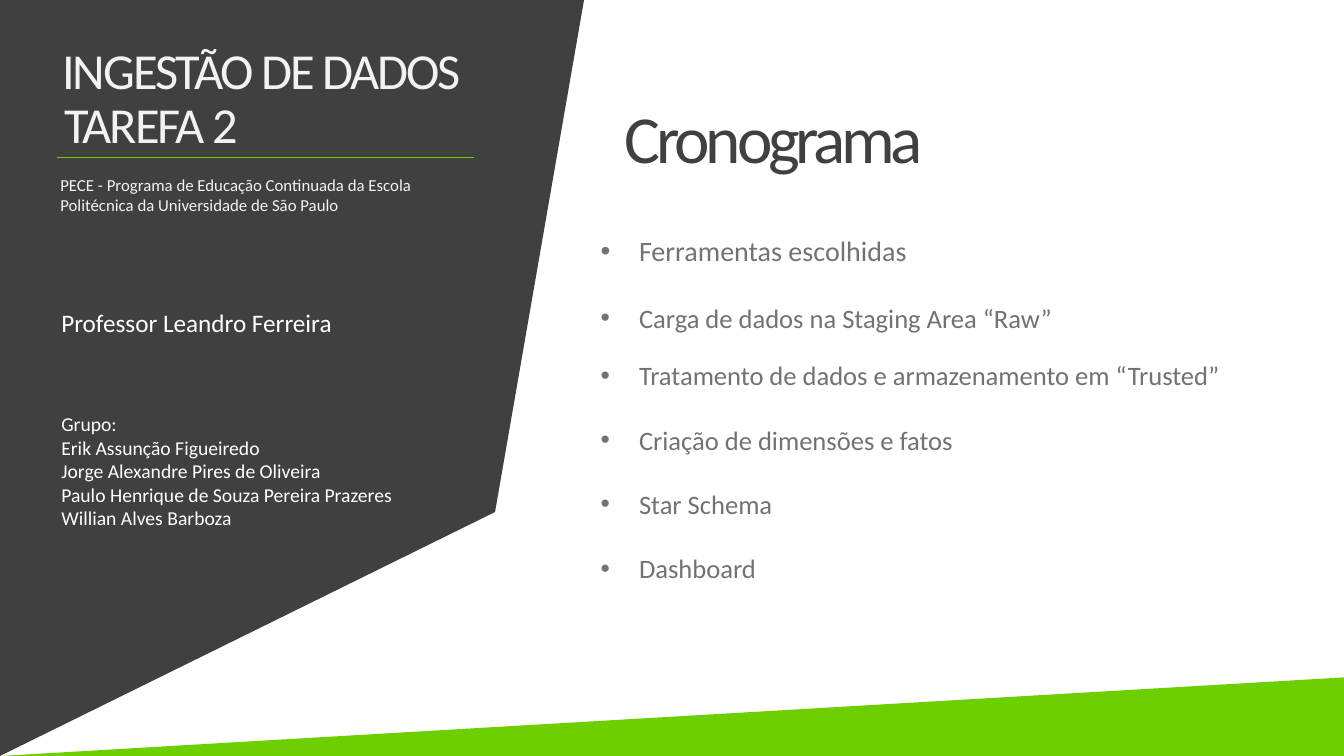
from dataclasses import dataclass

from lxml.etree import SubElement
from pptx import Presentation
from pptx.dml.color import RGBColor
from pptx.enum.shapes import MSO_CONNECTOR, MSO_SHAPE
from pptx.enum.text import MSO_ANCHOR, MSO_AUTO_SIZE
from pptx.oxml.ns import qn
from pptx.shapes.autoshape import Shape
from pptx.slide import Slide
from pptx.util import Inches, Pt

DARK = RGBColor(0x40, 0x40, 0x40)
GREEN = RGBColor(0x6D, 0xCF, 0x00)
GREY = RGBColor(0x76, 0x71, 0x71)
PALE = RGBColor(0xF2, 0xF2, 0xF2)
WHITE = RGBColor(0xFF, 0xFF, 0xFF)
FONT = "Calibri"


@dataclass
class Label:
    text: str
    left: float
    top: float
    width: float
    height: float
    size: float
    color: RGBColor
    spacing: float = 0
    middle: bool = False
    wrap: bool = True


@dataclass
class Topic:
    text: str
    size: float
    gap: float


LABELS = [
    Label("INGESTÃO DE DADOS", 0.52, 0.33, 4.18, 0.71, 36, PALE, -1.5, True),
    Label("TAREFA 2", 0.54, 0.87, 4.18, 0.71, 36, PALE, -1.5, True),
    Label(
        "PECE - Programa de Educação Continuada da Escola "
        "Politécnica da Universidade de São Paulo",
        0.5, 1.68, 4.2, 0.5, 12, PALE,
    ),
    Label("Professor Leandro Ferreira", 0.51, 3, 2.91, 0.4, 18, WHITE, wrap=False),
    Label(
        "Grupo:\n"
        "Erik Assunção Figueiredo\n"
        "Jorge Alexandre Pires de Oliveira\n"
        "Paulo Henrique de Souza Pereira Prazeres\n"
        "Willian Alves Barboza",
        0.51, 4.04, 3.51, 1.58, 14, WHITE, wrap=False,
    ),
    Label("Cronograma", 6.1, 0.9, 6.47, 0.91, 48, DARK, -3, True),
]

TOPICS = [
    Topic("Ferramentas escolhidas", 20, 0),
    Topic("Carga de dados na Staging Area “Raw”", 19, 24.4),
    Topic("Tratamento de dados e armazenamento em “Trusted”", 19, 18.3),
    Topic("Criação de dimensões e fatos", 19, 23.2),
    Topic("Star Schema", 19, 23.2),
    Topic("Dashboard", 19, 23.2),
]


def paint(sp: Shape, color: RGBColor) -> None:
    sp.shadow.inherit = False
    sp.fill.solid()
    sp.fill.fore_color.rgb = color
    sp.line.fill.background()


def add_label(s: Slide, label: Label) -> Shape:
    sp = s.shapes.add_textbox(
        Inches(label.left), Inches(label.top), Inches(label.width), Inches(label.height)
    )
    tf = sp.text_frame
    tf.word_wrap = label.wrap
    tf.auto_size = MSO_AUTO_SIZE.SHAPE_TO_FIT_TEXT
    tf.vertical_anchor = MSO_ANCHOR.MIDDLE if label.middle else MSO_ANCHOR.TOP
    tf.text = label.text
    for p in tf.paragraphs:
        for r in p.runs:
            r.font.name = FONT
            r.font.size = Pt(label.size)
            r.font.color.rgb = label.color
            if label.spacing:
                r.font._element.set("spc", str(int(label.spacing * 100)))
    return sp


def add_topics(s: Slide, topics: list[Topic]) -> None:
    text = "\n".join(topic.text for topic in topics)
    sp = add_label(s, Label(text, 5.86, 2.27, 6.94, 3.58, 19, GREY))
    for p, topic in zip(sp.text_frame.paragraphs, topics):
        p.space_before = Pt(topic.gap)
        p.runs[0].font.size = Pt(topic.size)
        pPr = p._p.get_or_add_pPr()
        pPr.set("marL", str(Inches(0.38)))
        pPr.set("indent", str(Inches(-0.38)))
        SubElement(pPr, qn("a:buFont")).set("typeface", "Arial")
        SubElement(pPr, qn("a:buChar")).set("char", "•")


def add_panel(s: Slide) -> None:
    corners = [(5.81, -0.1), (4.91, 5.08), (0, 7.5)]
    builder = s.shapes.build_freeform(Inches(0), Inches(-0.08))
    builder.add_line_segments([(Inches(x), Inches(y)) for x, y in corners])
    paint(builder.convert_to_shape(), DARK)


def add_wedge(s: Slide) -> None:
    sp = s.shapes.add_shape(
        MSO_SHAPE.RIGHT_TRIANGLE, Inches(0), Inches(6.72), Inches(13.33), Inches(0.78)
    )
    sp._element.spPr.xfrm.set("flipH", "1")
    paint(sp, GREEN)


def add_rule(s: Slide) -> None:
    rule = s.shapes.add_connector(
        MSO_CONNECTOR.STRAIGHT, Inches(0.57), Inches(1.56), Inches(4.7), Inches(1.56)
    )
    rule.line.color.rgb = GREEN
    rule.line.width = Pt(0.5)
    SubElement(rule._element.spPr, qn("a:effectLst"))


def main() -> None:
    prs = Presentation()
    prs.slide_width, prs.slide_height = Inches(13.33), Inches(7.5)
    s = prs.slides.add_slide(prs.slide_layouts[6])
    add_panel(s)
    add_wedge(s)
    add_rule(s)
    for label in LABELS:
        add_label(s, label)
    add_topics(s, TOPICS)
    prs.save("out.pptx")


if __name__ == "__main__":
    main()
